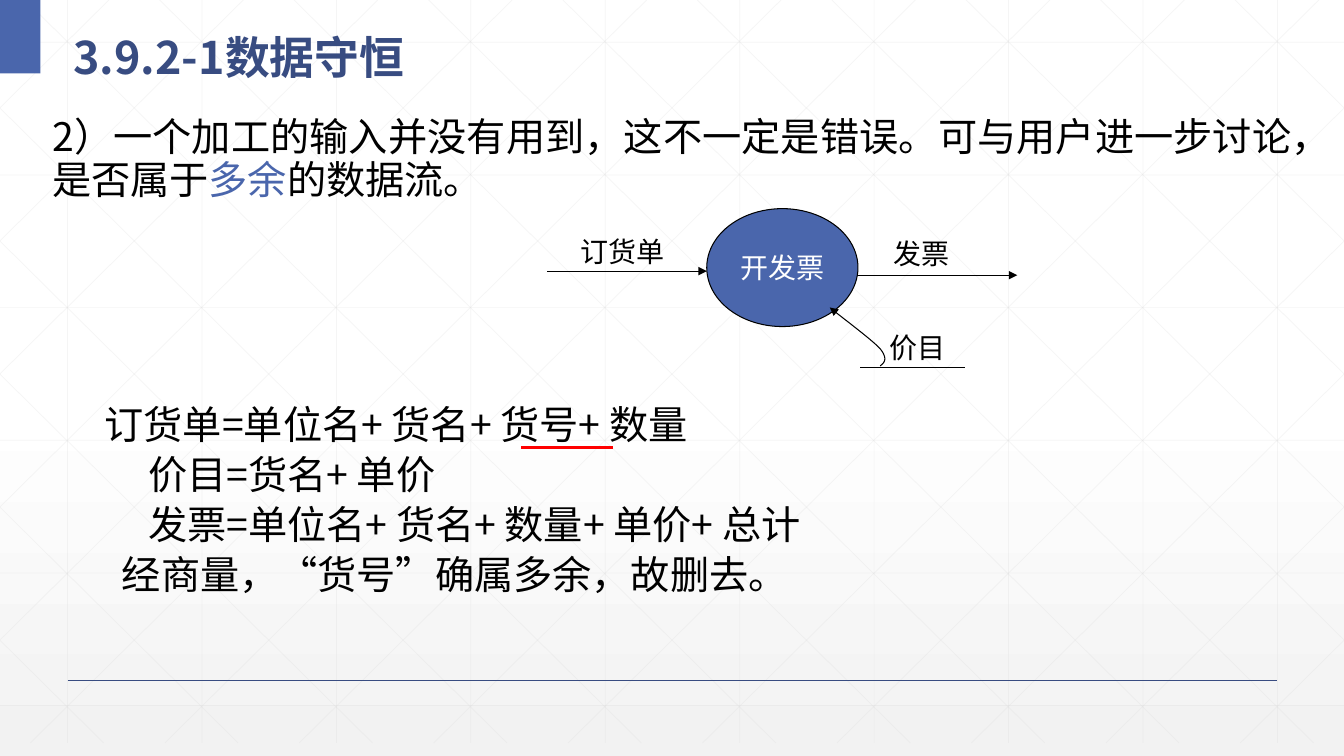
from lxml.etree import SubElement
from pptx import Presentation
from pptx.dml.color import RGBColor
from pptx.enum.shapes import MSO_CONNECTOR, MSO_SHAPE
from pptx.enum.text import MSO_ANCHOR, PP_ALIGN
from pptx.oxml import parse_xml
from pptx.oxml.ns import nsdecls, qn
from pptx.util import Inches, Pt

HAN_FONT = "Noto Sans CJK SC"
BLUE, NAVY, BLACK, WHITE = "4A66AC", "384C81", "000000", "FFFFFF"
WIDTH, HEIGHT, GRID_BOTTOM = 13.33, 7.5, 7.37


def style(paragraph, size, color, font=HAN_FONT):
    for span in paragraph.runs:
        span.font.size = Pt(size)
        span.font.name = font
        span.font.color.rgb = RGBColor.from_string(color)
        SubElement(span._r.get_or_add_rPr(), qn("a:ea"), typeface=HAN_FONT)


def draw_line(x1, y1, x2, y2, color, width, arrow=False):
    line = page.shapes.add_connector(
        MSO_CONNECTOR.STRAIGHT, Inches(x1), Inches(y1), Inches(x2), Inches(y2))
    line.line.color.rgb = RGBColor.from_string(color)
    line.line.width = Pt(width)
    if arrow:
        SubElement(line.line._get_or_add_ln(), qn("a:tailEnd"), type="triangle")
    SubElement(line._element.spPr, qn("a:effectLst"))
    return line


deck = Presentation()
deck.slide_width, deck.slide_height = Inches(WIDTH), Inches(HEIGHT)
page = deck.slides.add_slide(deck.slide_layouts[6])

background = page.background.fill
background.gradient()
background.gradient_angle = 270
stops = background._fill._gradFill.gsLst
for stop in list(stops):
    stops.remove(stop)
for position, color in [(0, WHITE), (53000, WHITE), (100000, "F2F2F2")]:
    stops.append(parse_xml(
        f'<a:gs {nsdecls("a")} pos="{position}"><a:srgbClr val="{color}"/></a:gs>'))

spacing = 4 / 3
slope = 0.99
grid = [(0.67 + spacing * i, 0, 0.67 + spacing * i, GRID_BOTTOM) for i in range(10)]
grid += [(0, 0.42 + 1.316 * i, WIDTH, 0.42 + 1.316 * i) for i in range(6)]
for i in range(-5, 10):
    top_x = 0.25 + spacing * i
    left, right = max(top_x, 0), min(top_x + GRID_BOTTOM / slope, WIDTH)
    top, bottom = (left - top_x) * slope, (right - top_x) * slope
    grid.append((left, top, right, bottom))
    grid.append((WIDTH - left, top, WIDTH - right, bottom))
for ends in grid:
    line = draw_line(*ends, "D9D9D9", 0.5)
    color_node = line.line._get_or_add_ln().find(".//" + qn("a:srgbClr"))
    SubElement(color_node, qn("a:alpha"), val="25000")

draw_line(0.67, 6.75, 12.67, 6.75, NAVY, 1)
corner = page.shapes.add_shape(MSO_SHAPE.RECTANGLE, 0, 0, Inches(0.4), Inches(0.73))
corner.shadow.inherit = False
corner.fill.solid()
corner.fill.fore_color.rgb = RGBColor.from_string(BLUE)
corner.line.fill.background()

title = page.shapes.add_textbox(Inches(0.63), Inches(0.12), Inches(11.66), Inches(0.73))
title.text_frame.word_wrap = True
title.text_frame.vertical_anchor = MSO_ANCHOR.MIDDLE
title.text_frame.text = "3.9.2-1数据守恒"
para = title.text_frame.paragraphs[0]
para.line_spacing = 1.3
style(para, 32, NAVY)
para.runs[0].font.bold = True

intro = page.shapes.add_textbox(Inches(0.42), Inches(1.12), Inches(12.5), Inches(0.95))
intro.text_frame.word_wrap = True
para = intro.text_frame.paragraphs[0]
para.alignment = PP_ALIGN.JUSTIFY
para.line_spacing = 0.9
for text in ["2）一个加工的输入并没有用到，这不一定是错误。可与用户进一步讨论，是否属于",
             "多余", "的数据流。"]:
    para.add_run().text = text
style(para, 28, BLACK)
para.runs[1].font.color.rgb = RGBColor.from_string(BLUE)

process = page.shapes.add_shape(
    MSO_SHAPE.FLOWCHART_CONNECTOR, Inches(7.01), Inches(2.07), Inches(1.5), Inches(1.17))
process.shadow.inherit = False
process.fill.solid()
process.fill.fore_color.rgb = RGBColor.from_string(BLUE)
process.line.color.rgb = RGBColor.from_string(BLACK)
process.line.width = Pt(0.75)
process.text_frame.word_wrap = False
process.text_frame.vertical_anchor = MSO_ANCHOR.MIDDLE
process.text_frame.text = "开发票"
process.text_frame.paragraphs[0].alignment = PP_ALIGN.CENTER
style(process.text_frame.paragraphs[0], 20, WHITE, "Arial")

draw_line(8.53, 3.65, 9.57, 3.65, BLACK, 0.75)
draw_line(5.43, 2.69, 7.01, 2.69, BLACK, 0.75, arrow=True)
draw_line(8.51, 2.73, 10.09, 2.73, BLACK, 0.75, arrow=True)
for text, left, top, width in [("价目", 8.72, 3.23, 0.83), ("发票", 8.76, 2.3, 0.78),
                               ("订货单", 5.66, 2.28, 1.25)]:
    label = page.shapes.add_textbox(Inches(left), Inches(top), Inches(width), Inches(0.43))
    label.text_frame.word_wrap = True
    label.text_frame.text = text
    style(label.text_frame.paragraphs[0], 20, BLACK, "Arial")

curves = [[(8.73, 3.63), (8.77, 3.6), (8.81, 3.56), (8.73, 3.46)],
          [(8.73, 3.46), (8.65, 3.37), (8.31, 3.12), (8.23, 3.05)]]
steps = 12
points = []
for curve in curves:
    for step in range(1, steps + 1):
        t = step / steps
        weights = [(1 - t) ** 3, 3 * t * (1 - t) ** 2, 3 * t * t * (1 - t), t ** 3]
        points.append(tuple(
            Inches(sum(w * point[axis] for w, point in zip(weights, curve)))
            for axis in (0, 1)))
builder = page.shapes.build_freeform(Inches(8.73), Inches(3.63))
builder.add_line_segments(points, close=False)
price_flow = builder.convert_to_shape()
price_flow.shadow.inherit = False
price_flow.fill.background()
price_flow.line.color.rgb = RGBColor.from_string(BLACK)
price_flow.line.width = Pt(0.75)
SubElement(price_flow.line._get_or_add_ln(), qn("a:tailEnd"), type="triangle")

draw_line(5.17, 4.44, 6.08, 4.44, "FF0000", 2.25)

definitions = page.shapes.add_textbox(
    Inches(0.94), Inches(3.97), Inches(9.15), Inches(2.05))
definitions.text_frame.word_wrap = True
entries = [("订货单=单位名+ 货名+ 货号+ 数量", 0), ("价目=货名+ 单价", 0.43),
           ("发票=单位名+ 货名+ 数量+ 单价+ 总计", 0.43),
           ("经商量，“货号”确属多余，故删去。", 0.17)]
definitions.text_frame.text = "\n".join(text for text, indent in entries)
for para, (text, indent) in zip(definitions.text_frame.paragraphs, entries):
    para.alignment = PP_ALIGN.JUSTIFY
    para.line_spacing = 0.9
    para.space_before = Pt(5.6)
    para._p.get_or_add_pPr().set("marL", str(Inches(indent)))
    style(para, 28, BLACK)

deck.save("out.pptx")
